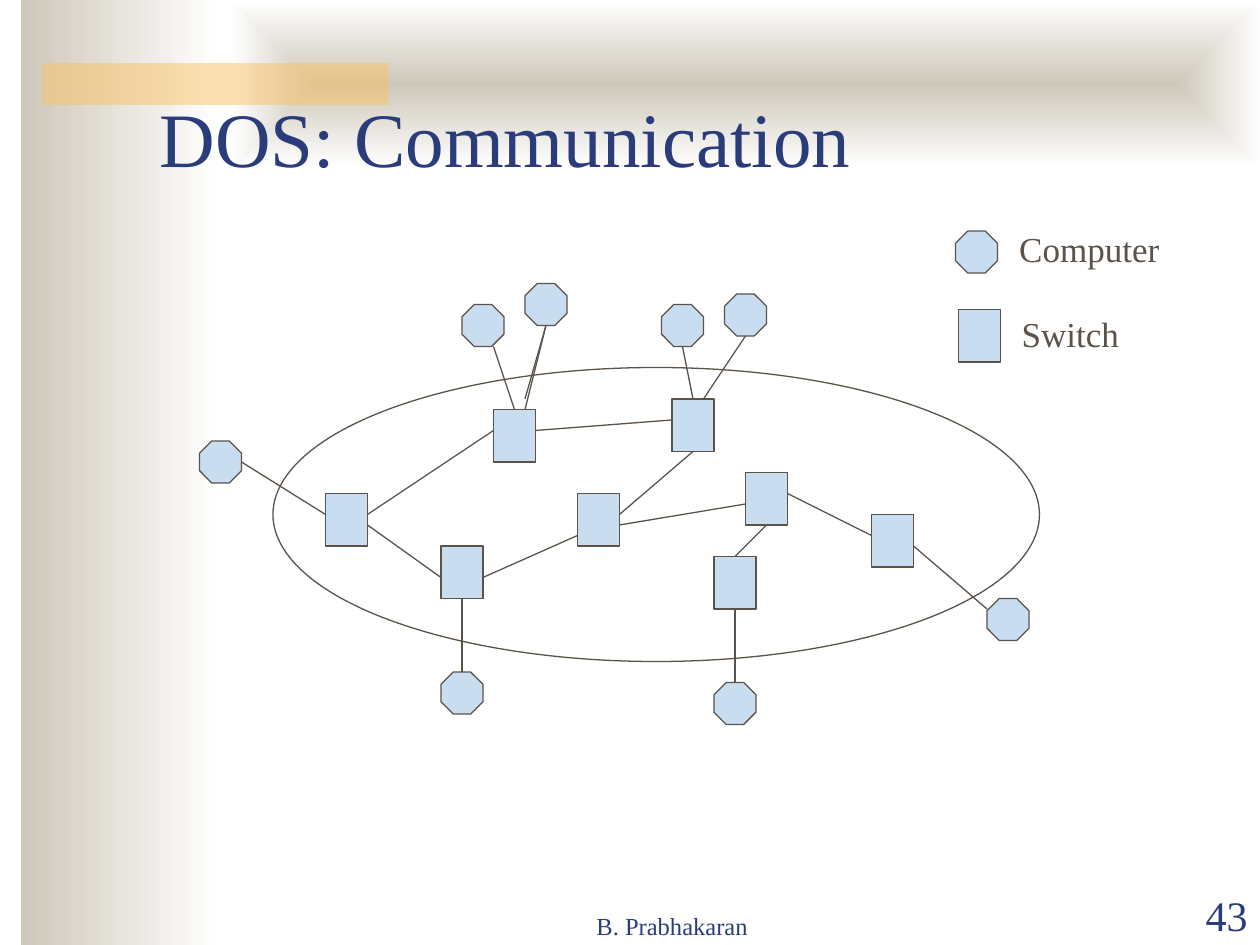
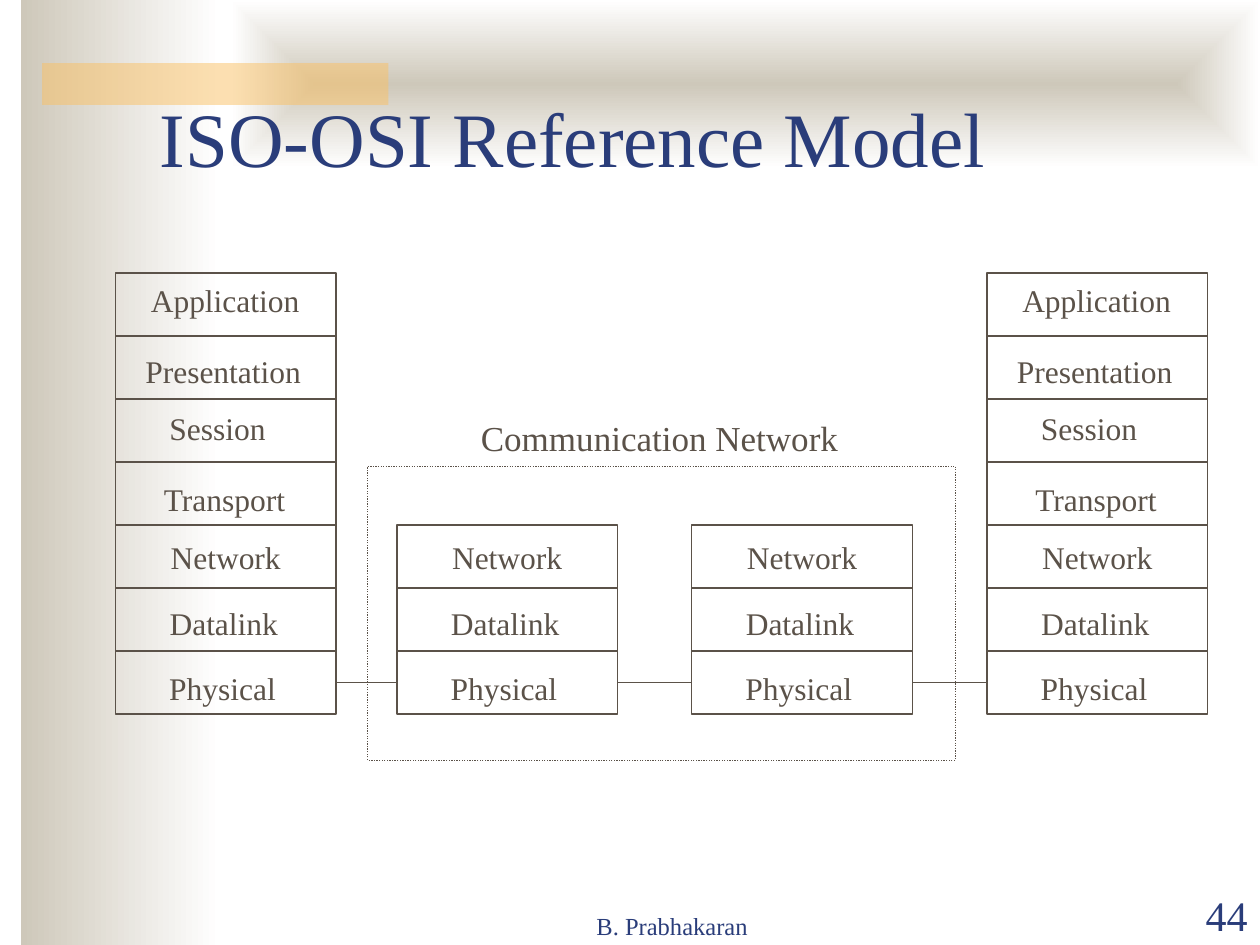
from lxml.etree import SubElement
from pptx import Presentation
from pptx.dml.color import RGBColor
from pptx.enum.dml import MSO_LINE
from pptx.enum.shapes import MSO_CONNECTOR, MSO_SHAPE
from pptx.enum.text import MSO_ANCHOR, MSO_AUTO_SIZE, PP_ALIGN
from pptx.oxml.ns import qn
from pptx.util import Inches, Pt

NAVY = RGBColor(0x2A, 0x3D, 0x7A)
BROWN = RGBColor(0x5B, 0x52, 0x49)
SKY = RGBColor(0xC9, 0xDD, 0xF1)
SAND = RGBColor(0xCE, 0xC8, 0xBA)
AMBER = RGBColor(0xFA, 0xC1, 0x64)
WHITE = RGBColor(0xFF, 0xFF, 0xFF)

FONT = "Times New Roman"
LINE_WIDTH = Pt(0.75)
TOP, LEFT, BOTTOM, RIGHT = range(4)

STEP = 1 / 12
LABEL_SLACK = 0.05
LAYER_WIDTH, LAYER_HEIGHT = 1.75, 0.5
STACK_BOTTOM = 68 * STEP
LAYERS = [
    ("Application", 0.18, 0.01, 1.38),
    ("Presentation", 0.14, 0.08, 1.43),
    ("Session", 0.33, 0.03, 0.96),
    ("Transport", 0.28, 0.09, 1.17),
    ("Network", 0, 0, LAYER_WIDTH),
    ("Datalink", 0.33, 0.08, 1.06),
    ("Physical", 0.33, 0.09, 1.04),
]


def write_text(frame, text, *, size, color=BROWN, align=PP_ALIGN.LEFT,
               anchor=MSO_ANCHOR.MIDDLE, wrap=False):
    frame.word_wrap = wrap
    frame.vertical_anchor = anchor
    paragraph = frame.paragraphs[0]
    paragraph.alignment = align
    run = paragraph.add_run()
    run.text = text
    run.font.name = FONT
    run.font.size = Pt(size)
    run.font.color.rgb = color


class Deck:
    def __init__(self):
        self.presentation = Presentation()
        self.presentation.slide_width = Inches(10)
        self.presentation.slide_height = Inches(7.5)
        self.slide = None

    def start_slide(self, title, number):
        self.slide = self.presentation.slides.add_slide(self.presentation.slide_layouts[6])
        self.gradient_band(2 * STEP, 0, 19 * STEP, 7.5)
        self.gradient_band(22 * STEP, 0, 98 * STEP, 16 * STEP, from_center=True)
        accent = self.shape(4 * STEP, 0.5, 2.75, 4 * STEP, fill=AMBER, outlined=False)
        color = accent.fill._xPr.find(qn("a:solidFill"))[0]
        SubElement(color, qn("a:alpha"), val="50000")
        fixed = {"color": NAVY, "anchor": MSO_ANCHOR.BOTTOM, "wrap": True}
        self.text(3.75, 7.01, 3.17, 0.5, "B. Prabhakaran", size=14, align=PP_ALIGN.CENTER, **fixed)
        self.text(9, 7.01, 1, 0.5, str(number), size=24, align=PP_ALIGN.RIGHT, **fixed)
        self.text(1.17, 0.25, 8.5, 1.25, title, size=44, **fixed)

    def shape(self, left, top, width, height, kind=MSO_SHAPE.RECTANGLE, fill=None,
              outlined=True, dash=None):
        shape = self.slide.shapes.add_shape(
            kind, Inches(left), Inches(top), Inches(width), Inches(height))
        shape.shadow.inherit = False
        if fill is None:
            shape.fill.background()
        else:
            shape.fill.solid()
            shape.fill.fore_color.rgb = fill
        if outlined:
            shape.line.color.rgb = BROWN
            shape.line.width = LINE_WIDTH
            shape.line.dash_style = dash
        else:
            shape.line.fill.background()
        return shape

    def gradient_band(self, left, top, width, height, from_center=False):
        band = self.shape(left, top, width, height, outlined=False)
        band.fill.gradient()
        band.fill.gradient_angle = 0
        for stop, color, position in zip(band.fill.gradient_stops, (SAND, WHITE), (0, 1)):
            stop.color.rgb = color
            stop.position = position
        if from_center:
            gradient = band._element.spPr.find(qn("a:gradFill"))
            gradient.remove(gradient.find(qn("a:lin")))
            focus = SubElement(gradient, qn("a:path"), path="rect")
            SubElement(focus, qn("a:fillToRect"), l="50000", t="50000", r="50000", b="50000")

    def text(self, left, top, width, height, text, **text_format):
        box = self.slide.shapes.add_textbox(
            Inches(left), Inches(top), Inches(width), Inches(height))
        write_text(box.text_frame, text, **text_format)
        return box

    def label(self, left, top, width, height, text, **text_format):
        box = self.text(left - LABEL_SLACK, top, width + 2 * LABEL_SLACK, height, text,
                        align=PP_ALIGN.CENTER, **text_format)
        box.text_frame.auto_size = MSO_AUTO_SIZE.SHAPE_TO_FIT_TEXT

    def link(self, start, end):
        joined = [not isinstance(point[0], int) for point in (start, end)]
        places = [(0, 0) if join else point for join, point in zip(joined, (start, end))]
        link = self.slide.shapes.add_connector(
            MSO_CONNECTOR.STRAIGHT,
            *(Inches(value * STEP) for place in places for value in place))
        if joined[0]:
            link.begin_connect(*start)
        if joined[1]:
            link.end_connect(*end)
        link.line.color.rgb = BROWN
        link.line.width = LINE_WIDTH
        SubElement(link._element.spPr, qn("a:effectLst"))

    def computer(self, column, row):
        return self.shape(column * STEP, row * STEP, 4 * STEP, 4 * STEP,
                          kind=MSO_SHAPE.OCTAGON, fill=SKY)

    def switch(self, column, row):
        return self.shape(column * STEP, row * STEP, 4 * STEP, 5 * STEP, fill=SKY)

    def layer_stack(self, left, layers):
        first_top = STACK_BOTTOM - len(layers) * LAYER_HEIGHT
        for row, (name, indent, drop, label_width) in enumerate(layers):
            top = first_top + row * LAYER_HEIGHT
            layer = self.shape(left, top, LAYER_WIDTH, LAYER_HEIGHT)
            if name == "Network":
                write_text(layer.text_frame, name, size=18, align=PP_ALIGN.CENTER)
            else:
                self.label(left + indent, top + drop, label_width, 0.4, name, size=18)
        return layer


def build_communication(deck):
    deck.start_slide("DOS: Communication", 43)
    deck.shape(26 * STEP, 35 * STEP, 73 * STEP, 28 * STEP, kind=MSO_SHAPE.OVAL)

    switch_places = [(31, 47), (42, 52), (47, 39), (55, 47),
                     (68, 53), (64, 38), (71, 45), (83, 49)]
    west, southwest, northwest, hub, south, north, inner_east, east = [
        deck.switch(*place) for place in switch_places]

    for place in [(44, 29), (50, 27), (63, 29), (69, 28),
                  (19, 42), (94, 57), (42, 64), (68, 65)]:
        deck.computer(*place)

    switch_links = [
        ((35, 49), (47, 41)),
        ((35, 50), (42, 55)),
        ((51, 41), (64, 40)),
        ((46, 55), (55, 51)),
        ((59, 50), (71, 48)),
        ((south, TOP), (inner_east, BOTTOM)),
        ((75, 47), (83, 51)),
        ((59, 49), (north, BOTTOM)),
    ]
    computer_links = [
        ((23, 44), (31, 49)),
        ((47, 33), (northwest, TOP)),
        ((65, 33), (north, TOP)),
        ((71, 32), (67, 38)),
        ((87, 52), (94, 58)),
        ((south, BOTTOM), (70, 65)),
        ((southwest, BOTTOM), (44, 64)),
        ((52, 31), (50, 39)),
        ((52, 31), (50, 38)),
    ]
    for start, end in switch_links + computer_links:
        deck.link(start, end)

    deck.computer(91, 22)
    deck.switch(91.3, 29.5)
    deck.label(7.99, 1.75, 1.31, 0.44, "Computer", size=20)
    deck.label(8.01, 2.43, 0.97, 0.44, "Switch", size=20)


def build_reference_model(deck):
    deck.start_slide("ISO-OSI Reference Model", 44)
    stacks = [(11 * STEP, LAYERS), (3.15, LAYERS[4:]), (5.49, LAYERS[4:]), (94 * STEP, LAYERS)]
    physical_layers = [deck.layer_stack(left, layers) for left, layers in stacks]
    deck.shape(35 * STEP, 3.7, 56 * STEP, 28 * STEP, dash=MSO_LINE.ROUND_DOT)
    deck.label(3.72, 3.25, 3.03, 0.44, "Communication Network", size=20)
    for sender, receiver in zip(physical_layers, physical_layers[1:]):
        deck.link((sender, RIGHT), (receiver, LEFT))


def main():
    deck = Deck()
    build_communication(deck)
    build_reference_model(deck)
    deck.presentation.save("out.pptx")


if __name__ == "__main__":
    main()
